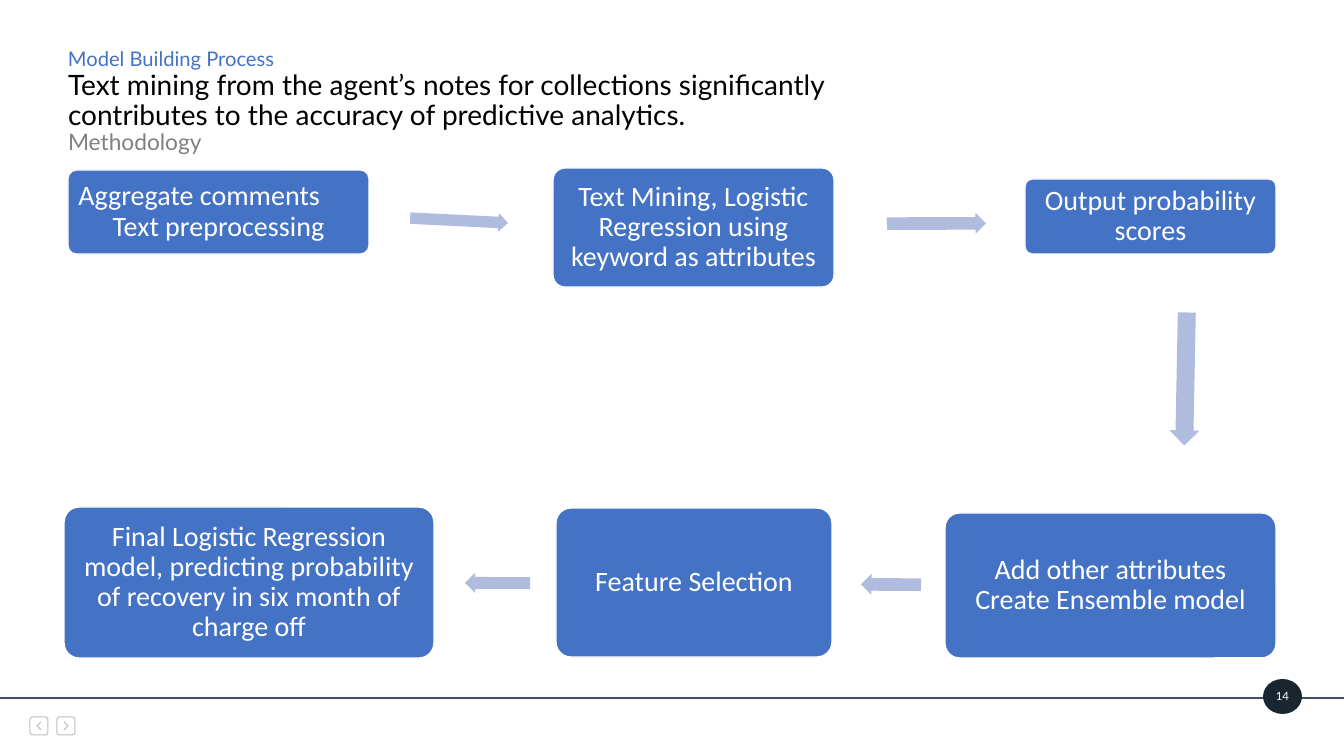
from dataclasses import dataclass

from lxml import etree
from pptx import Presentation
from pptx import util as u
from pptx.dml.color import RGBColor
from pptx.enum import shapes, text
from pptx.oxml.ns import qn

EMU_PER_PX = 914400 / 100.8


def px(length):
    return u.Emu(round(length * EMU_PER_PX))


@dataclass(frozen=True)
class Theme:
    blue: str = "4472C4"
    pale_blue: str = "B0BCDE"
    navy: str = "19252F"
    rule: str = "415065"
    grey: str = "808080"
    light_grey: str = "BFBFBF"
    black: str = "000000"
    white: str = "FFFFFF"
    heading_font: str = "Lato"
    box_font: str = "Calibri"
    title_size: float = 20
    subtitle_size: float = 16.2
    kicker_size: float = 14.4
    box_size: float = 20
    number_size: float = 8.1


class SlideBuilder:
    def __init__(self, page, theme):
        self.page = page
        self.theme = theme

    def paint(self, shape, fill=None, line=None, width=1):
        shape.shadow.inherit = False
        if fill:
            shape.fill.solid()
            shape.fill.fore_color.rgb = RGBColor.from_string(fill)
        else:
            shape.fill.background()
        if line:
            shape.line.color.rgb = RGBColor.from_string(line)
            shape.line.width = u.Pt(width)
        else:
            shape.line.fill.background()

    def set_words(self, shape, words, size, color, font, aligns, insets):
        frame = shape.text_frame
        frame.text = words
        frame.word_wrap = True
        frame.auto_size = text.MSO_AUTO_SIZE.NONE
        frame.vertical_anchor = text.MSO_ANCHOR.MIDDLE
        frame.margin_left, frame.margin_top, frame.margin_right, frame.margin_bottom = map(px, insets)
        for para, align in zip(frame.paragraphs, aligns):
            para.alignment = align
            para.line_spacing = 0.9
            para.space_before = para.space_after = u.Pt(0)
            for span in para.runs:
                span.font.size = u.Pt(size)
                span.font.name = font
                span.font.color.rgb = RGBColor.from_string(color)

    def preset(self, kind, place, fill=None, line=None, width=1):
        shape = self.page.shapes.add_shape(kind, *map(px, place))
        self.paint(shape, fill, line, width)
        return shape

    def heading(self, shape, words, size, color):
        self.set_words(shape, words, size, color, self.theme.heading_font,
                       [text.PP_ALIGN.LEFT], (10, 5, 20, 5))

    def title(self, words, place):
        title = self.page.shapes.title
        title.left, title.top, title.width, title.height = map(px, place)
        self.heading(title, words, self.theme.title_size, self.theme.black)

    def label(self, words, place, size, color):
        box = self.page.shapes.add_textbox(*map(px, place))
        self.heading(box, words, size, color)

    def step(self, words, place, first_align=text.PP_ALIGN.CENTER):
        box = self.preset(shapes.MSO_SHAPE.ROUNDED_RECTANGLE, place,
                          self.theme.blue, self.theme.white)
        box.adjustments[0] = 0.1
        self.set_words(box, words, self.theme.box_size, self.theme.white, self.theme.box_font,
                       [first_align, text.PP_ALIGN.CENTER], (8, 8, 8, 8))

    def arrow(self, place, rotation):
        arrow = self.preset(shapes.MSO_SHAPE.RIGHT_ARROW, place, self.theme.pale_blue)
        arrow.adjustments[0] = 0.6
        arrow.adjustments[1] = 0.5
        arrow.rotation = rotation

    def rule(self, y, width):
        rule = self.page.shapes.add_connector(
            shapes.MSO_CONNECTOR.STRAIGHT, 0, px(y), px(width), px(y))
        rule.line.color.rgb = RGBColor.from_string(self.theme.rule)
        rule.line.width = u.Pt(1.5)
        etree.SubElement(rule._element.spPr, qn("a:effectLst"))

    def badge(self, words, place):
        badge = self.preset(shapes.MSO_SHAPE.OVAL, place, self.theme.navy)
        self.set_words(badge, words, self.theme.number_size, self.theme.white,
                       self.theme.heading_font, [text.PP_ALIGN.CENTER], (0, 0, 0, 0))

    def nav_button(self, left, top, direction):
        side, reach = 18, 2
        frame = self.preset(shapes.MSO_SHAPE.ROUNDED_RECTANGLE, (left, top, side, side),
                            line=self.theme.light_grey, width=0.75)
        frame.adjustments[0] = 0.16
        x, y = left + side / 2, top + side / 2
        tail, tip = x - direction * reach, x + direction * reach
        outline = self.page.shapes.build_freeform(px(tail), px(y - 4))
        outline.add_line_segments([(px(tip), px(y)), (px(tail), px(y + 4))], close=False)
        self.paint(outline.convert_to_shape(), line=self.theme.light_grey, width=0.75)


def main():
    deck = Presentation()
    deck.slide_width, deck.slide_height = px(1344), px(756)
    theme = Theme()
    slide = SlideBuilder(deck.slides.add_slide(deck.slide_layouts[5]), theme)

    for left, direction in ((30, -1), (57, 1)):
        slide.nav_button(left, 717, direction)
    slide.rule(698, 1344)
    slide.badge("14", (1263, 679, 39, 35))

    slide.title("Text mining from the agent’s notes for collections significantly "
                "contributes to the accuracy of predictive analytics.", (58, 80, 916, 43))
    slide.label("Methodology", (58, 131, 919, 25), theme.subtitle_size, theme.grey)
    slide.label("Model Building Process", (58, 47, 916, 27), theme.kicker_size, theme.blue)

    slide.step("Aggregate comments\nText preprocessing", (68, 170, 301, 84),
               text.PP_ALIGN.LEFT)
    steps = (
        ("Text Mining, Logistic Regression using keyword as attributes", (553, 168, 281, 119)),
        ("Output probability scores", (1025, 179, 251, 75)),
        ("Add other attributes\nCreate Ensemble model", (945, 513, 331, 145)),
        ("Feature Selection", (556, 508, 276, 149)),
        ("Final Logistic Regression model, predicting probability of recovery "
         "in six month of charge off", (64, 507, 370, 151)),
    )
    for words, place in steps:
        slide.step(words, place)

    arrows = (
        ((410, 211, 98, 19), 2.8),
        ((887, 213, 99, 21), 359.8),
        ((1119, 364, 133, 30), 91.1),
        ((861, 574, 60, 21), 180.3),
        ((465, 573, 65, 20), 180.1),
    )
    for place, rotation in arrows:
        slide.arrow(place, rotation)

    deck.save("out.pptx")


if __name__ == "__main__":
    main()
